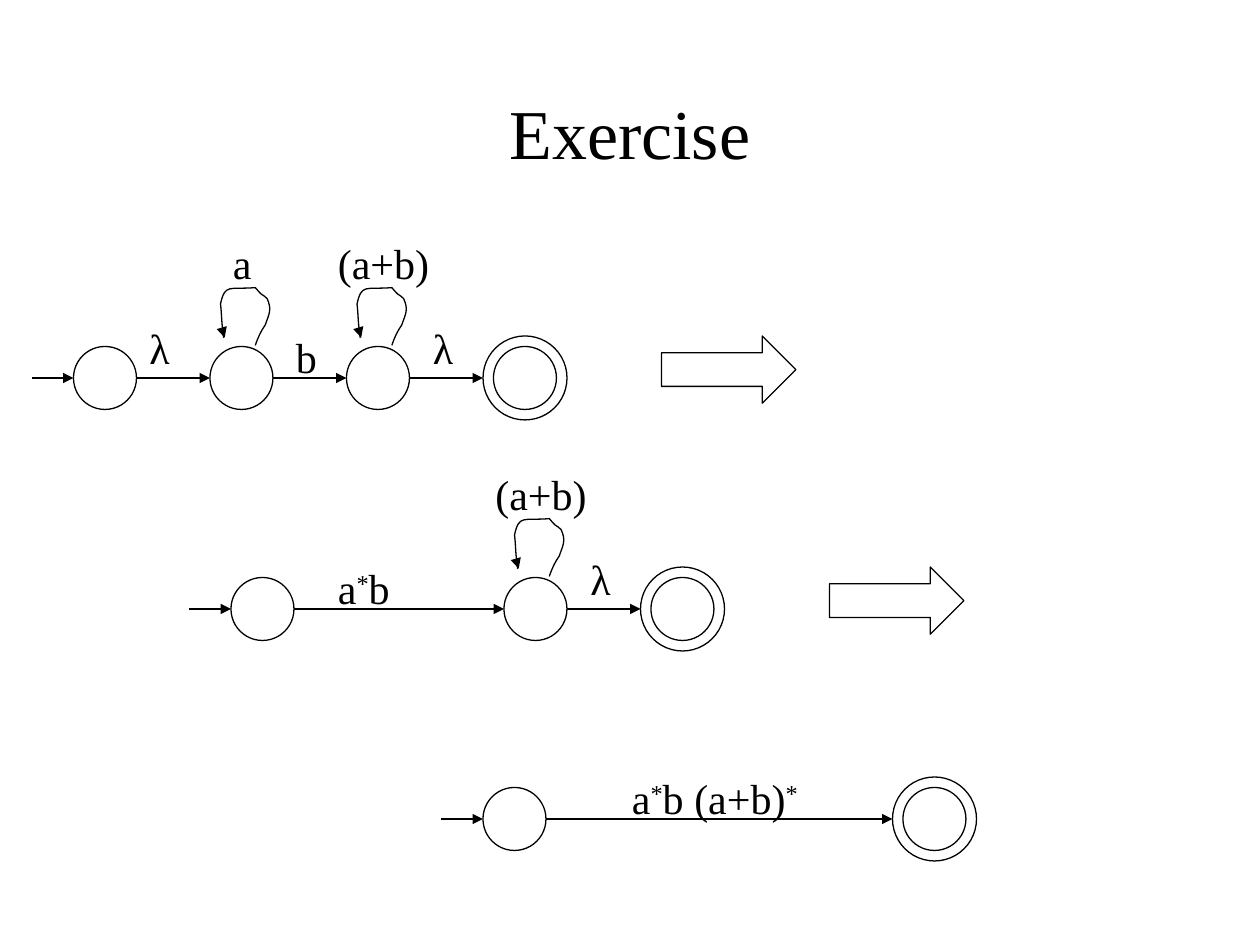
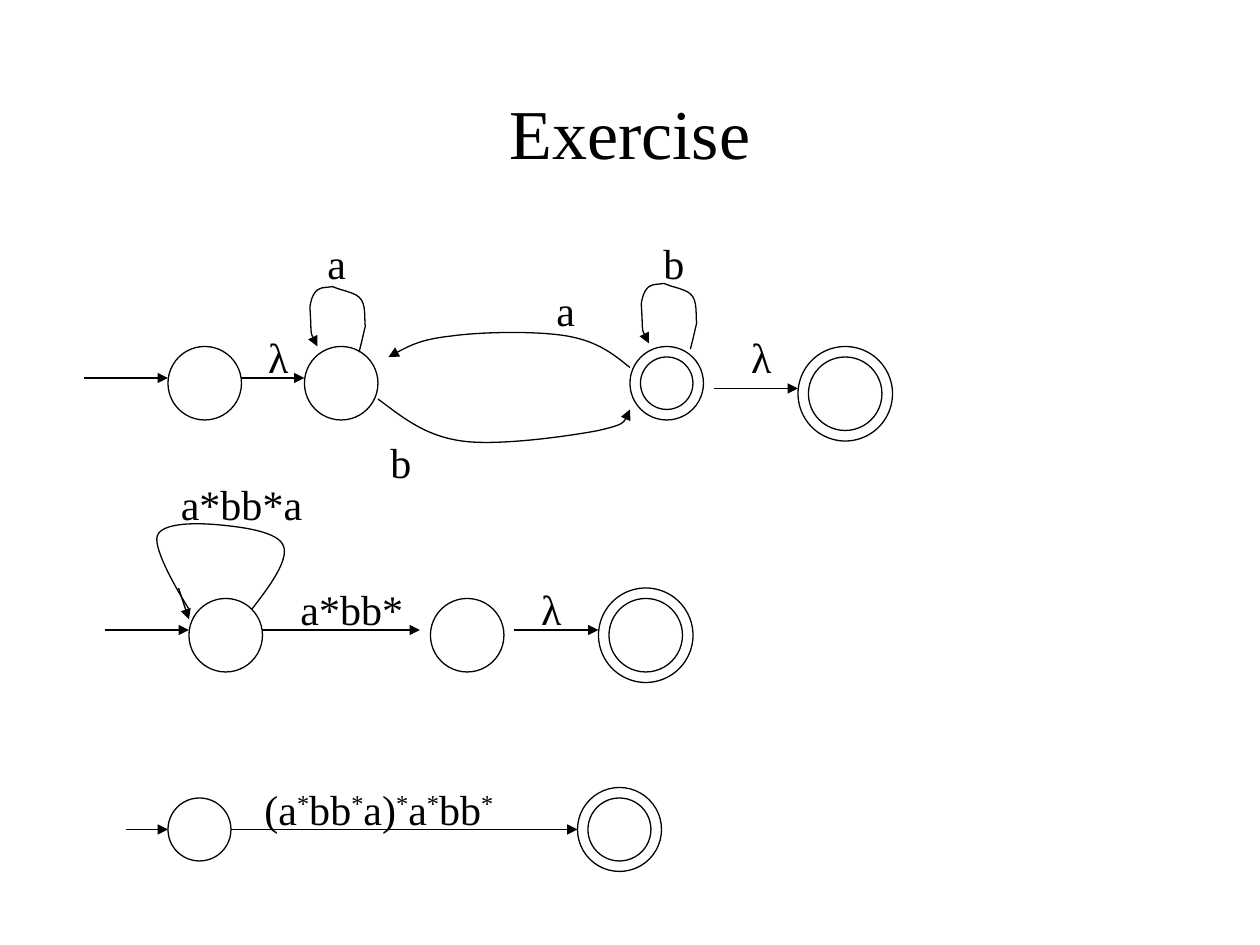
from dataclasses import dataclass
from itertools import pairwise
from typing import Any

from lxml.etree import SubElement
from pptx import Presentation
from pptx.dml.color import RGBColor
from pptx.enum.shapes import MSO_CONNECTOR, MSO_SHAPE
from pptx.enum.text import MSO_ANCHOR, MSO_AUTO_SIZE, PP_ALIGN
from pptx.oxml.ns import qn
from pptx.util import Inches, Pt

# Shared look
INK, PAPER = "000000", "FFFFFF"
FONT = "Times New Roman"
TITLE_SIZE, LABEL_SIZE, LINE_WIDTH = 40, 24, 0.75

# Grid of 120 columns by 90 rows, measured in cells
COLUMNS, ROWS = 120, 90
SLIDE_WIDTH, SLIDE_HEIGHT = Inches(10), Inches(7.5)
CELL = SLIDE_WIDTH / COLUMNS
LABEL_ROWS = 6
TIGHT_WIDTHS = {"a": 4.2, "b": 4.3, "λ": 4.3, "(a+b)": 11.2}

# Curves: a start point, then groups of two controls and an end point,
# relative to the corner of the state (loops) or to the region (bows)
SMALL_LOOP = [(4.32, -0.1),
              (4.56, -0.84), (4.84, -1.44), (5.26, -2.04),
              (5.64, -3.12), (5.92, -3.5), (5.44, -4.56),
              (5.32, -4.8), (5.04, -4.8), (4.86, -5),
              (4.68, -5.16), (4.5, -5.4), (4.32, -5.6),
              (1.8, -5.4), (1.44, -6), (1, -4.05),
              (1.1, -3.24), (1.1, -2.4), (1.2, -1.68),
              (1.4, 0), (1.4, -1.68), (1.4, -0.84)]
LARGE_LOOP = [(5.2, 0.55),
              (5.68, -1.32), (5.44, -0.48), (5.8, -1.92),
              (5.68, -2.64), (5.92, -4.1), (5.2, -4.7),
              (4.84, -5.04), (4.24, -5.16), (3.88, -5.3),
              (3.4, -5.4), (2.68, -5.7), (2.68, -5.7),
              (1.84, -5.55), (1.36, -5.76), (0.88, -4.95),
              (0.64, -4.6), (0.52, -3.75), (0.52, -3.75),
              (0.7, -1.08), (0.4, -1.6), (1.24, 0)]
WIDE_LOOP = [(6, 1),
             (7.8, -1.3), (9.5, -3.7), (9, -5),
             (8.5, -6.4), (5, -6.8), (3, -7),
             (1, -7.2), (-2.5, -7.3), (-3, -6),
             (-3.5, -4.7), (-0.7, -0.1), (0, 1)]
LOWER_BOW = [(28, 2),
             (30.3, 3.7), (32.4, 5.5), (36, 6),
             (39.5, 6.5), (46.4, 5.5), (49, 5),
             (51.6, 4.4), (51.9, 3.7), (52, 3)]
UPPER_BOW = [(52, -1),
             (50.4, -2.3), (48.9, -3.5), (46, -4),
             (43.1, -4.5), (37.8, -4.4), (35, -4),
             (32.2, -3.7), (30.6, -2.9), (29, -2)]


def color(hex_string):
    return RGBColor.from_string(hex_string)


def cells(*counts):
    return [round(count * CELL) for count in counts]


def outline(shape, arrowhead=False):
    shape.line.color.rgb = color(INK)
    shape.line.width = Pt(LINE_WIDTH)
    if arrowhead:
        ln = shape._element.spPr.find(qn("a:ln"))
        SubElement(ln, qn("a:tailEnd"), type="triangle")


def hollow(shape, arrowhead=False):
    shape.shadow.inherit = False
    shape.fill.background()
    outline(shape, arrowhead)


def style_text(paragraph, size, align):
    paragraph.alignment = align
    for run in paragraph.runs:
        run.font.name = FONT
        run.font.size = Pt(size)
        run.font.color.rgb = color(INK)


def bend(shape):
    """Turn each three straight segments into one cubic curve."""
    segments = list(shape._element.iter(qn("a:lnTo")))
    outline_parts = segments[0].getparent()
    for first in range(0, len(segments), 3):
        cubic = SubElement(outline_parts, qn("a:cubicBezTo"))
        for segment in segments[first:first + 3]:
            cubic.append(segment[0])
            outline_parts.remove(segment)


@dataclass
class Automaton:
    """A region whose origin is where the entry arrow starts."""
    slide: Any
    col: float
    row: float

    def place(self, col, row):
        return cells(self.col + col, self.row + row)

    def preset(self, kind, col, row, width, height):
        shape = self.slide.shapes.add_shape(
            kind, *self.place(col, row), *cells(width, height))
        hollow(shape)

    def state(self, col, row=-3, size=6, final=False):
        self.preset(MSO_SHAPE.OVAL, col, row, size, size)
        if final:
            self.preset(MSO_SHAPE.OVAL, col - 1, row - 1, size + 2, size + 2)

    def arrow(self, col, to_col, row=0, to_row=None):
        end = self.place(to_col, row if to_row is None else to_row)
        connector = self.slide.shapes.add_connector(
            MSO_CONNECTOR.STRAIGHT, *self.place(col, row), *end)
        outline(connector, arrowhead=True)
        SubElement(connector._element.spPr, qn("a:effectLst"))

    def curve(self, points, col=0, row=0, arrowhead=True):
        start, *rest = [self.place(col + x, row + y) for x, y in points]
        builder = self.slide.shapes.build_freeform(*start)
        builder.add_line_segments(rest, close=False)
        shape = builder.convert_to_shape()
        bend(shape)
        hollow(shape, arrowhead)

    def label(self, text, col, row=-5, width=None, align=PP_ALIGN.LEFT):
        """Write text; every second part between bars is raised."""
        box = self.slide.shapes.add_textbox(
            *self.place(col, row), *cells(width or TIGHT_WIDTHS[text], LABEL_ROWS))
        frame = box.text_frame
        frame.word_wrap = width is not None
        frame.auto_size = MSO_AUTO_SIZE.SHAPE_TO_FIT_TEXT
        paragraph = frame.paragraphs[0]
        for number, part in enumerate(text.split("|")):
            if part:
                run = paragraph.add_run()
                run.text = part
                if number % 2:
                    run._r.get_or_add_rPr().set("baseline", "30000")
        style_text(paragraph, LABEL_SIZE, align)

    def next_step(self, col):
        self.preset(MSO_SHAPE.RIGHT_ARROW, col, -4, 12.8, 6.4)

    def chain(self, *inner_states):
        """Draw states in a line from the entry arrow to the final state."""
        entry, final, size = 4, 44, 6
        stops = [entry, *inner_states, final]
        self.arrow(0, entry)
        for col, following in pairwise(stops):
            self.state(col)
            self.arrow(col + size, following - (following == final))
        self.state(final, final=True)


def add_exercise_slide(deck):
    slide = deck.slides.add_slide(deck.slide_layouts[6])
    slide.background.fill.solid()
    slide.background.fill.fore_color.rgb = color(PAPER)
    title = slide.shapes.add_textbox(*cells(9, 5, 102, 15)).text_frame
    title.word_wrap = True
    title.vertical_anchor = MSO_ANCHOR.MIDDLE
    title.text = "Exercise"
    style_text(title.paragraphs[0], TITLE_SIZE, PP_ALIGN.CENTER)
    return slide


def ending_in_loop(automaton, arrow_col):
    """Add the (a+b) loop, the last λ and the block arrow."""
    automaton.curve(SMALL_LOOP, 30, -3)
    automaton.label("(a+b)", 28, -14)
    automaton.label("λ", 37.05, -5.9)
    automaton.next_step(arrow_col)


def contains_b_slide(deck):
    slide = add_exercise_slide(deck)

    # All states
    full = Automaton(slide, 3, 36)
    full.chain(17, 30)
    full.curve(SMALL_LOOP, 17, -3)
    full.label("a", 18, -14)
    full.label("λ", 10.05, -5.9)
    full.label("b", 24)
    ending_in_loop(full, 60)

    # One state removed
    reduced = Automaton(slide, 18, 58)
    reduced.chain(30)
    reduced.label("a|*|b", 13, width=9.4)
    ending_in_loop(reduced, 61)

    # Only start and final state
    result = Automaton(slide, 42, 78)
    result.chain()
    result.label("a|*|b (a+b)|*", 17, width=21)


def ends_in_b_slide(deck):
    slide = add_exercise_slide(deck)
    centered = PP_ALIGN.CENTER

    # All states
    full = Automaton(slide, 8, 36)
    for col in (8, 21):
        full.state(col, size=7)
    full.state(53, -2, 5, final=True)
    full.state(69, -2, 7, final=True)
    full.arrow(0, 8)
    full.arrow(15, 21)
    full.arrow(60, 68, row=1)
    full.curve(LARGE_LOOP, 21, -3)
    full.curve(LARGE_LOOP, 52.56, -3.3)
    full.curve(LOWER_BOW)
    full.curve(UPPER_BOW)
    for text, col, row in (("a", 22, -14), ("b", 54, -14), ("a", 43.8, -9.45), ("b", 28, 5)):
        full.label(text, col, row)
    for col in (13, 59):
        full.label("λ", col, width=11, align=centered)

    # One state removed
    reduced = Automaton(slide, 10, 60)
    for col, final in ((8, False), (31, False), (48, True)):
        reduced.state(col, size=7, final=final)
    for col, to_col in ((0, 8), (15, 30), (39, 47)):
        reduced.arrow(col, to_col)
    reduced.curve(WIDE_LOOP, 8, -3, arrowhead=False)
    reduced.arrow(7, 8, -4, -1)
    reduced.label("a*bb*a", 2, -15, 22, centered)
    reduced.label("a*bb*", 15, width=17, align=centered)
    reduced.label("λ", 38, width=9, align=centered)

    # Only start and final state
    result = Automaton(slide, 12, 79)
    result.chain()
    result.label("(a|*|bb|*|a)|*|a|*|bb|*", 12, width=26)


def main():
    deck = Presentation()
    deck.slide_width, deck.slide_height = SLIDE_WIDTH, SLIDE_HEIGHT
    contains_b_slide(deck)
    ends_in_b_slide(deck)
    deck.save("out.pptx")


if __name__ == "__main__":
    main()
